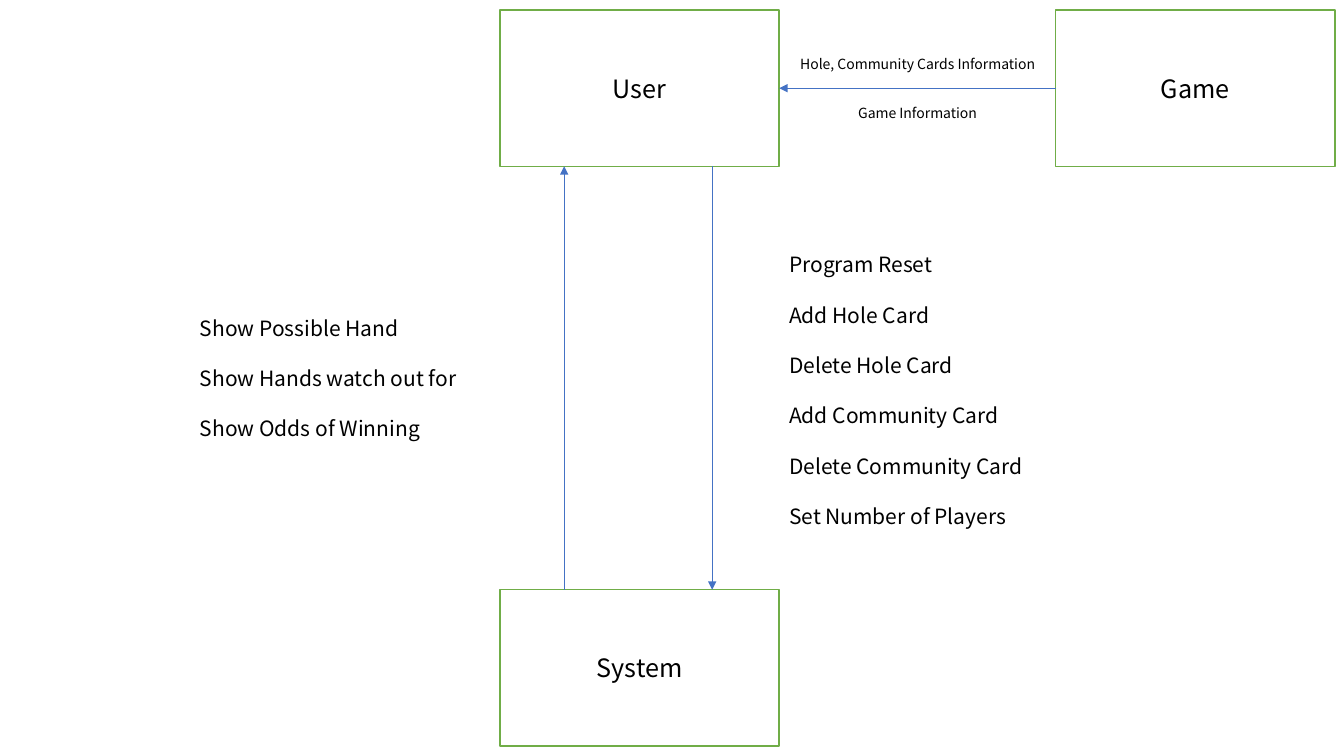
from lxml import etree
from pptx import Presentation, util as u
from pptx.dml.color import RGBColor
from pptx.enum import shapes, text
from pptx.oxml.ns import qn

FONT = "Noto Sans CJK KR"
COLORS = {"paper": "FFFFFF", "ink": "000000", "border": "70AD47", "arrow": "4472C4"}
SLIDE_W, SLIDE_H = u.Inches(13.33), u.Inches(7.5)
COL, ROW = SLIDE_W / 100, SLIDE_H / 100
NODE_W, NODE_H = 20.78, 20.67


def color(name):
    return RGBColor.from_string(COLORS[name])


def emu(box):
    x, y, w, h = box
    return int(x * COL), int(y * ROW), int(w * COL), int(h * ROW)


def style(p, size, align):
    p.alignment = align
    p.font.size = u.Pt(size)
    p.font.name = FONT
    p.font.color.rgb = color("ink")


def add_node(s, box, name):
    sp = s.shapes.add_shape(shapes.MSO_SHAPE.RECTANGLE, *emu(box))
    sp.shadow.inherit = False
    sp.fill.solid()
    sp.fill.fore_color.rgb = color("paper")
    sp.line.color.rgb = color("border")
    sp.line.width = u.Pt(1)
    tf = sp.text_frame
    tf.vertical_anchor = text.MSO_ANCHOR.MIDDLE
    tf.text = name
    style(tf.paragraphs[0], 18, text.PP_ALIGN.CENTER)


def add_arrow(s, start, end):
    x1, y1, x2, y2 = emu((*start, *end))
    c = s.shapes.add_connector(shapes.MSO_CONNECTOR.STRAIGHT, x1, y1, x2, y2)
    c.line.color.rgb = color("arrow")
    c.line.width = u.Pt(0.5)
    ln = c.line._get_or_add_ln()
    etree.SubElement(ln, qn("a:tailEnd"), type="triangle")
    etree.SubElement(c._element.spPr, qn("a:effectLst"))


def add_lines(s, box, lines, size, align=text.PP_ALIGN.LEFT):
    tf = s.shapes.add_textbox(*emu(box)).text_frame
    tf.word_wrap = True
    tf.auto_size = text.MSO_AUTO_SIZE.SHAPE_TO_FIT_TEXT
    for i, line in enumerate(lines):
        p = tf.add_paragraph() if i else tf.paragraphs[0]
        p.text = line
        style(p, size, align)
        p.line_spacing = u.Pt(size * 1.2)
        if i:
            p.space_before = u.Pt(size * 1.2)


def add_game_flow(s, box):
    x, y, w, h = box
    middle = y + h / 2
    add_arrow(s, (x + w, middle), (x, middle))
    for label, top in (("Hole, Community Cards Information", 0.26),
                       ("Game Information", 0.57)):
        add_lines(s, (x + w * 0.03, y + h * top, w * 0.94, h * 0.17), [label],
                  10, text.PP_ALIGN.CENTER)


def add_system_flow(s, box):
    x, y, w, h = box
    bottom = y + h
    request_x, reply_x = x + w * 0.76, x + w * 0.23
    add_arrow(s, (request_x, y), (request_x, bottom))
    add_arrow(s, (reply_x, bottom), (reply_x, y))
    add_lines(s, (x + w, y + h * 0.19, w * 0.94, h * 0.69),
              ["Program Reset", "Add Hole Card", "Delete Hole Card",
               "Add Community Card", "Delete Community Card",
               "Set Number of Players"], 15)
    add_lines(s, (x - w * 1.11, y + h * 0.34, w * 1.21, h * 0.32),
              ["Show Possible Hand", "Show Hands watch out for",
               "Show Odds of Winning"], 15)


def context_diagram(s, box):
    x, y, w, h = box
    game_x = x + w - NODE_W
    system_y = y + h - NODE_H
    for name, left, top in (("User", x, y), ("Game", game_x, y),
                            ("System", x, system_y)):
        add_node(s, (left, top, NODE_W, NODE_H), name)
    add_game_flow(s, (x + NODE_W, y, game_x - x - NODE_W, NODE_H))
    add_system_flow(s, (x, y + NODE_H, NODE_W, system_y - y - NODE_H))


prs = Presentation()
prs.slide_width, prs.slide_height = SLIDE_W, SLIDE_H
s = prs.slides.add_slide(prs.slide_layouts[6])
context_diagram(s, (37.2, 1.33, 62.13, 97.34))
prs.save("out.pptx")
